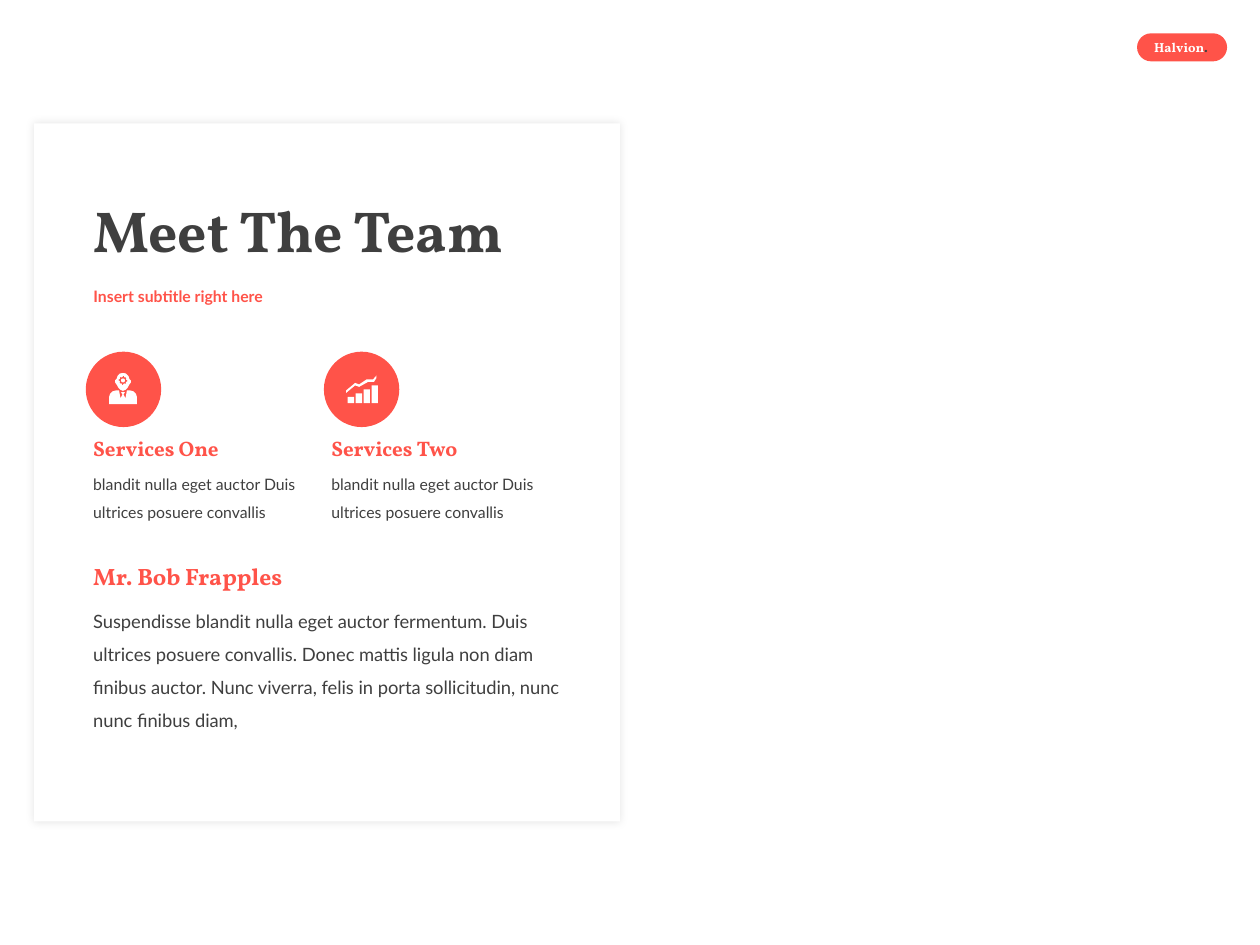
from math import cos, pi, sin

from lxml import etree
from pptx import Presentation
from pptx.dml.color import RGBColor
from pptx.enum.shapes import MSO_SHAPE
from pptx.enum.text import MSO_ANCHOR, MSO_AUTO_SIZE, PP_ALIGN
from pptx.oxml.ns import qn
from pptx.util import Cm, Pt

RECT, OVAL, PILL = MSO_SHAPE.RECTANGLE, MSO_SHAPE.OVAL, MSO_SHAPE.ROUNDED_RECTANGLE
LEFT, CENTER = PP_ALIGN.LEFT, PP_ALIGN.CENTER
MIDDLE = MSO_ANCHOR.MIDDLE
GROW, FIXED = MSO_AUTO_SIZE.SHAPE_TO_FIT_TEXT, MSO_AUTO_SIZE.NONE

CORAL = RGBColor(0xFF, 0x53, 0x49)
DARK = RGBColor(0x3F, 0x3F, 0x3F)
WHITE = RGBColor(0xFF, 0xFF, 0xFF)

SERIF = {"name": "Vollkorn", "bold": True}
SANS = {"name": "Lato", "bold": False}

# Icon outlines, in hundredths of a centimetre
BODY = [(28, 815), (28, 800), (26, 794), (21, 789), (14, 787), (8, 787),
        (5, 803), (1, 795), (4, 791), (0, 790)]
HEAD = [(0, 752), (6, 753), (11, 758), (13, 764), (16, 767), (16, 771),
        (13, 775), (9, 782), (5, 786), (0, 788)]
TREND = [(752, 765), (739, 765), (724, 775), (716, 772), (698, 787), (698, 792),
         (716, 777), (724, 780), (742, 770), (754, 770), (759, 762), (759, 757)]


def mirror(half, mid):
    """Complete a right half outline with its reflection about x = mid."""
    return ([(mid + x, y) for x, y in half]
            + [(mid - x, y) for x, y in reversed(half)])


def gear(mid, top, teeth=8):
    radii = (9, 9, 7, 7)
    count = teeth * len(radii)
    return [(mid + radii[i % 4] * cos(2 * pi * i / count),
             top + radii[i % 4] * sin(2 * pi * i / count)) for i in range(count)]


class Deck:
    def __init__(self, slide):
        self.slide = slide
        self.shapes = slide.shapes

    def paint(self, shape, color):
        shape.shadow.inherit = False
        shape.fill.solid()
        shape.fill.fore_color.rgb = color
        shape.line.fill.background()
        return shape

    def block(self, kind, box, color):
        return self.paint(self.shapes.add_shape(kind, *map(Cm, box)), color)

    def outline(self, color, *rings):
        pen = self.shapes.build_freeform(*rings[0][0], scale=Cm(0.01))
        pen.add_line_segments(rings[0][1:])
        for ring in rings[1:]:
            pen.move_to(*ring[0])
            pen.add_line_segments(ring[1:])
        return self.paint(pen.convert_to_shape(), color)

    def glow(self, shape, blur, alpha):
        """Give the shape a soft, centred shadow."""
        effects = shape.element.spPr.find(qn("a:effectLst"))
        shade = etree.SubElement(effects, qn("a:outerShdw"), blurRad=str(Pt(blur)),
                                 dist="0", dir="0", algn="ctr", rotWithShape="0")
        tone = etree.SubElement(shade, qn("a:srgbClr"), val="000000")
        etree.SubElement(tone, qn("a:alpha"), val=str(alpha * 1000))

    def fill(self, frame, runs, look, size, space=1.0, align=LEFT):
        """Put one paragraph of coloured runs into a text frame."""
        para = frame.paragraphs[0]
        for key, val in {"alignment": align, "line_spacing": space,
                         "space_before": Pt(0)}.items():
            setattr(para, key, val)
        for words, color in runs:
            run = para.add_run()
            run.text = words
            for key, val in {**look, "size": Pt(size)}.items():
                setattr(run.font, key, val)
            run.font.color.rgb = color

    def text(self, box, runs, look, size, wrap=True, **form):
        frame = self.shapes.add_textbox(*map(Cm, box)).text_frame
        frame.word_wrap, frame.auto_size = wrap, GROW
        self.fill(frame, runs, look, size, **form)

    def holder(self, index, box, runs, look, size):
        """Fill a placeholder and bring it to the front."""
        shape = self.slide.placeholders[index]
        for key, val in zip(("left", "top", "width", "height"), box):
            setattr(shape, key, Cm(val))
        frame = shape.text_frame
        frame.vertical_anchor, frame.auto_size = MIDDLE, FIXED
        frame.word_wrap = True
        self.fill(frame, runs, look, size, space=0.9)
        shape.element.getparent().append(shape.element)

    def person(self):
        self.outline(WHITE, mirror(BODY, 248))
        self.outline(WHITE, mirror(HEAD, 248), gear(248, 767))
        self.block(OVAL, (2.44, 7.63, 0.08, 0.08), WHITE)

    def growth(self):
        for i, tall in enumerate((0.13, 0.2, 0.28, 0.36)):
            self.block(RECT, (7.01 + 0.16 * i, 8.13 - tall, 0.13, tall), WHITE)
        self.outline(WHITE, TREND)

    def service(self, left, name, icon):
        self.block(OVAL, (left + 0.1, 7.09, 1.52, 1.52), CORAL)
        self.shapes = self.slide.shapes.add_group_shape().shapes
        icon()
        self.shapes = self.slide.shapes
        words = "blandit nulla eget auctor Duis ultrices posuere convallis"
        self.text((left, 9.25, 4.62, 1.35), [(words, DARK)], SANS, 9, space=1.5)
        self.text((left, 8.66, 3.71, 0.76), [(name, CORAL)], SERIF, 12)


def main():
    show = Presentation()
    show.slide_width, show.slide_height = Cm(25.4), Cm(19.05)
    deck = Deck(show.slides.add_slide(show.slide_layouts[0]))

    badge = deck.block(PILL, (22.94, 0.69, 1.78, 0.53), CORAL)
    badge.adjustments[0] = 0.5
    badge.line.color.rgb = CORAL
    badge.line.width = Pt(1)
    deck.text((23.01, 0.66, 1.6, 0.58), [("Halvion", WHITE), (".", DARK)],
              SERIF, 7.5, wrap=False, align=CENTER)

    card = deck.block(RECT, (0.69, 2.49, 11.81, 14.07), WHITE)
    deck.glow(card, blur=5, alpha=9)

    left = 1.63
    about = ("Suspendisse blandit nulla eget auctor fermentum. Duis ultrices "
             "posuere convallis. Donec mattis ligula non diam finibus auctor. "
             "Nunc viverra, felis in porta sollicitudin, nunc nunc finibus diam,")
    deck.text((left, 11.96, 10.36, 2.21), [(about, DARK)], SANS, 10.5, space=1.5)
    deck.text((left, 11.2, 4.62, 0.84), [("Mr. Bob Frapples", CORAL)], SERIF, 13.5)
    deck.service(left, "Services One", deck.person)
    deck.service(left + 4.8, "Services Two", deck.growth)

    deck.holder(0, (left, 3.4, 14.3, 2.62), [("Meet The Team", DARK)], SERIF, 33)
    deck.holder(1, (left, 5.51, 14.3, 0.97), [("Insert subtitle right here", CORAL)],
                {**SANS, "bold": True}, 9)
    show.save("out.pptx")


if __name__ == "__main__":
    main()
